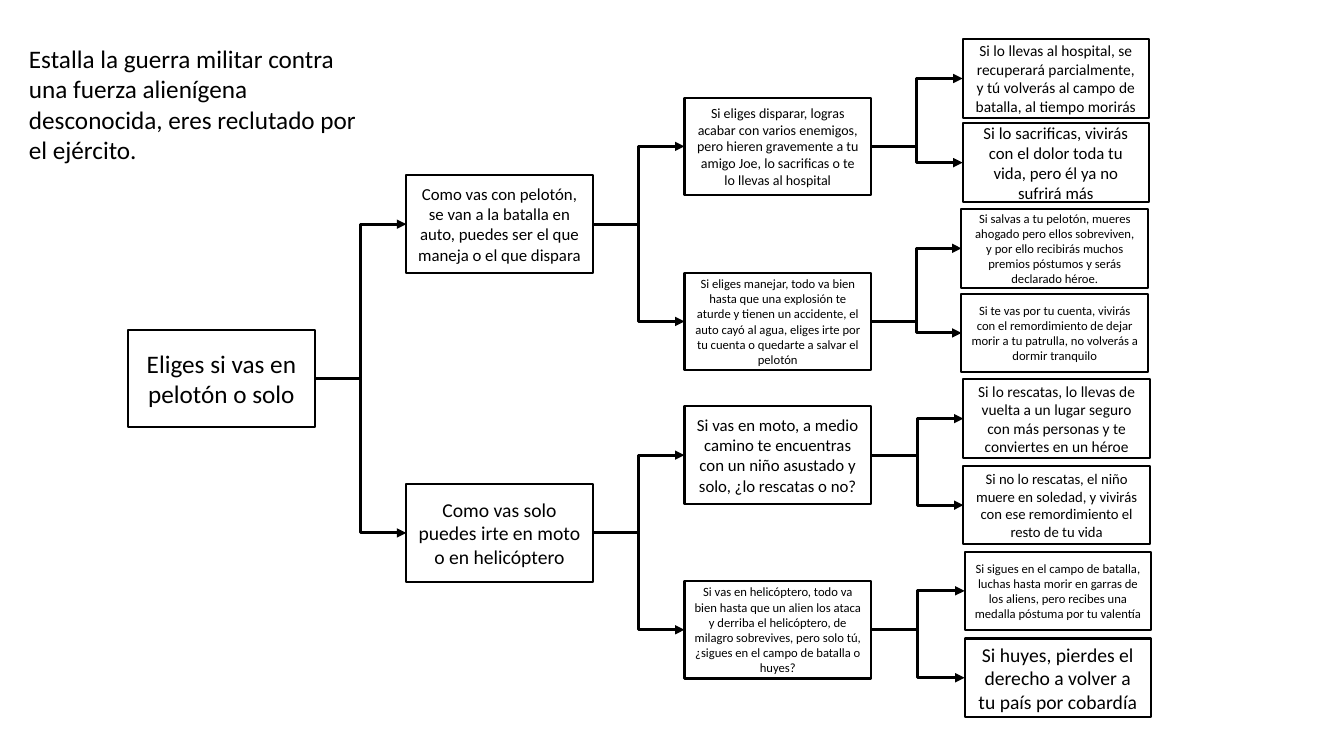
from pptx import Presentation
from pptx.dml.color import RGBColor
from pptx.enum.shapes import MSO_CONNECTOR, MSO_SHAPE
from pptx.enum.text import MSO_ANCHOR, PP_ALIGN
from pptx.oxml.ns import qn
from pptx.util import Cm, Pt
from lxml import etree

RECT = MSO_SHAPE.RECTANGLE
ELBOW = MSO_CONNECTOR.ELBOW
MIDDLE = MSO_ANCHOR.MIDDLE
CENTER = PP_ALIGN.CENTER
LEFT_SITE, RIGHT_SITE = 1, 3
COLORS = {"ink": "000000"}
INK = RGBColor.from_string(COLORS["ink"])
FONT = "Calibri"
BOX_W = 4.7

prs = Presentation()
prs.slide_width, prs.slide_height = Cm(33.87), Cm(19.05)
s = prs.slides.add_slide(prs.slide_layouts[6])


def add_run(p, text, size):
    r = p.add_run()
    r.text = text
    r.font.size = Pt(size)
    r.font.name = FONT
    r.font.color.rgb = INK


def add_arrow(parent, child):
    c = s.shapes.add_connector(ELBOW, 0, 0, 0, 0)
    c.begin_connect(parent, RIGHT_SITE)
    c.end_connect(child, LEFT_SITE)
    c.line.color.rgb = INK
    c.line.width = Pt(2.25)
    etree.SubElement(c.line._get_or_add_ln(), qn("a:tailEnd"), type="triangle")
    etree.SubElement(c._element.spPr, qn("a:effectLst"))


levels = [
    (2.46, [
        (3.23, 8.31, 18, "Eliges si vas en pelotón o solo"),
    ]),
    (2.46, [
        (10.24, 4.42, 12, "Como vas con pelotón, se van a la batalla en auto, "
         "puedes ser el que maneja o el que dispara"),
        (10.24, 12.2, 14, "Como vas solo puedes irte en moto o en helicóptero"),
    ]),
    (2.46, [
        (17.25, 2.46, 10, "Si eliges disparar, logras acabar con varios enemigos, "
         "pero hieren gravemente a tu amigo Joe, lo sacrificas o te lo llevas al hospital"),
        (17.25, 6.87, 9, "Si eliges manejar, todo va bien hasta que una explosión te aturde "
         "y tienen un accidente, el auto cayó al agua, eliges irte por tu cuenta "
         "o quedarte a salvar el pelotón"),
        (17.25, 10.24, 12, "Si vas en moto, a medio camino te encuentras con un niño "
         "asustado y solo, ¿lo rescatas o no?"),
        (17.25, 14.64, 9, "Si vas en helicóptero, todo va bien hasta que un alien los ataca "
         "y derriba el helicóptero, de milagro sobrevives, pero solo tú, "
         "¿sigues en el campo de batalla o huyes?"),
    ]),
    (1.98, [
        (24.26, 0.99, 11, "Si lo llevas al hospital, se recuperará parcialmente, "
         "y tú volverás al campo de batalla, al tiempo morirás"),
        (24.26, 3.11, 12, "Si lo sacrificas, vivirás con el dolor toda tu vida, "
         "pero él ya no sufrirá más"),
        (24.23, 5.27, 9, "Si salvas a tu pelotón, mueres ahogado pero ellos sobreviven, "
         "y por ello recibirás muchos premios póstumos y serás declarado héroe."),
        (24.23, 7.4, 9, "Si te vas por tu cuenta, vivirás con el remordimiento de dejar "
         "morir a tu patrulla, no volverás a dormir tranquilo"),
        (24.28, 9.56, 11, "Si lo rescatas, lo llevas de vuelta a un lugar seguro "
         "con más personas y te conviertes en un héroe"),
        (24.28, 11.74, 10.5, "Si no lo rescatas, el niño muere en soledad, y vivirás "
         "con ese remordimiento el resto de tu vida"),
        (24.31, 13.9, 9, "Si sigues en el campo de batalla, luchas hasta morir en garras "
         "de los aliens, pero recibes una medalla póstuma por tu valentía"),
        (24.31, 16.09, 14, "Si huyes, pierdes el derecho a volver a tu país por cobardía"),
    ]),
]

parents = []
for height, choices in levels:
    boxes = []
    for i, (x, y, size, text) in enumerate(choices):
        sp = s.shapes.add_shape(RECT, Cm(x), Cm(y), Cm(BOX_W), Cm(height))
        sp.shadow.inherit = False
        sp.fill.background()
        sp.line.color.rgb = INK
        sp.line.width = Pt(1.5)
        tf = sp.text_frame
        tf.word_wrap = True
        tf.vertical_anchor = MIDDLE
        p = tf.paragraphs[0]
        p.alignment = CENTER
        add_run(p, text, size)
        if parents:
            add_arrow(parents[i // 2], sp)
        boxes.append(sp)
    parents = boxes

intro = s.shapes.add_textbox(Cm(0.48), Cm(0.97), Cm(8.86), Cm(3.33))
tf = intro.text_frame
tf.word_wrap = True
add_run(tf.paragraphs[0], "Estalla la guerra militar contra", 18)
add_run(tf.add_paragraph(),
        "una fuerza alienígena desconocida, eres reclutado por el ejército.", 18)

prs.save("out.pptx")
